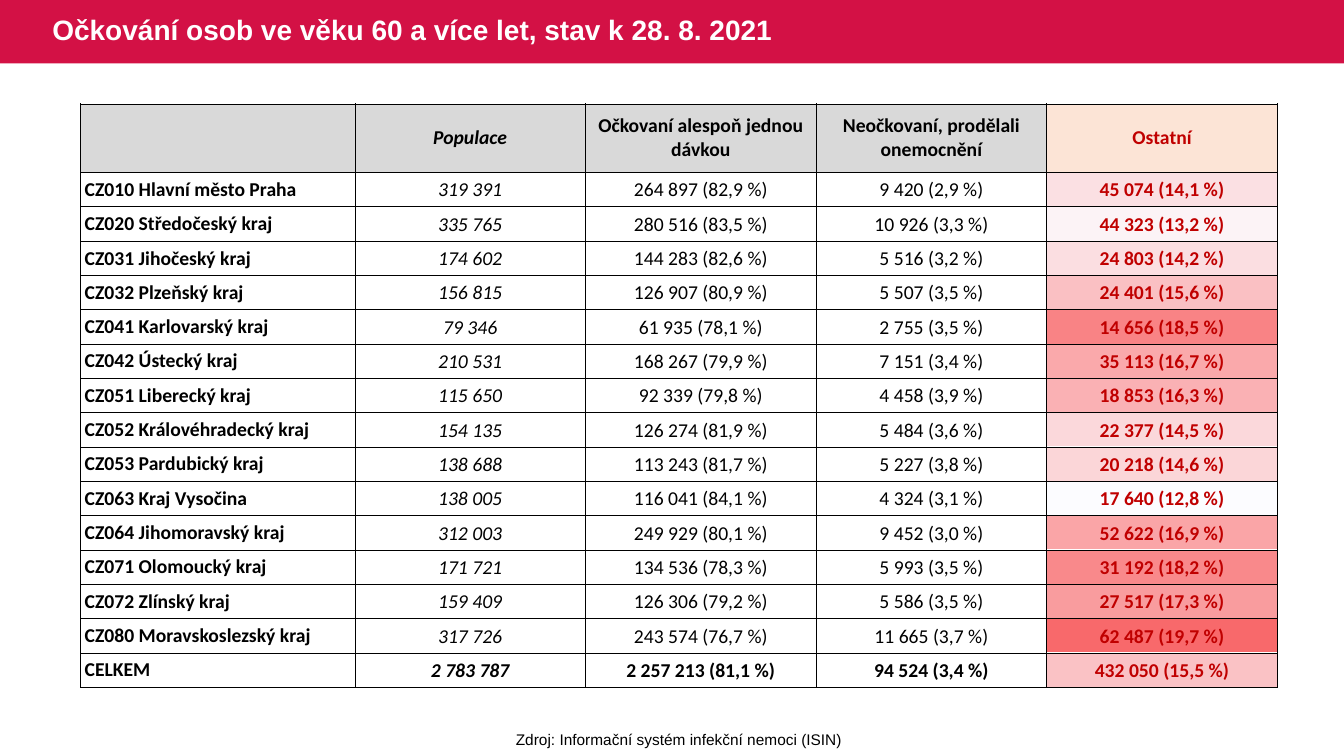
from lxml.etree import SubElement
from pptx import Presentation
from pptx.dml.color import RGBColor
from pptx.enum.shapes import MSO_SHAPE
from pptx.enum.text import MSO_ANCHOR, PP_ALIGN
from pptx.oxml.ns import qn
from pptx.util import Inches, Pt

RED = RGBColor(0xD3, 0x11, 0x45)
DARK = RGBColor(0xC0, 0x00, 0x00)
GRAY = RGBColor(0xD9, 0xD9, 0xD9)
PEACH = RGBColor(0xFC, 0xE4, 0xD6)
BLACK = RGBColor(0x00, 0x00, 0x00)
WHITE = RGBColor(0xFF, 0xFF, 0xFF)
LOW = RGBColor(0xFC, 0xFC, 0xFF)
HIGH = RGBColor(0xF8, 0x69, 0x6B)

HEADS = ["", "Populace", "Očkovaní alespoň jednou dávkou",
         "Neočkovaní, prodělali onemocnění", "Ostatní"]
REGIONS = [
    ("CZ010 Hlavní město Praha", "319 391", "264 897 (82,9 %)", "9 420 (2,9 %)", "45 074 (14,1 %)"),
    ("CZ020 Středočeský kraj", "335 765", "280 516 (83,5 %)", "10 926 (3,3 %)", "44 323 (13,2 %)"),
    ("CZ031 Jihočeský kraj", "174 602", "144 283 (82,6 %)", "5 516 (3,2 %)", "24 803 (14,2 %)"),
    ("CZ032 Plzeňský kraj", "156 815", "126 907 (80,9 %)", "5 507 (3,5 %)", "24 401 (15,6 %)"),
    ("CZ041 Karlovarský kraj", "79 346", "61 935 (78,1 %)", "2 755 (3,5 %)", "14 656 (18,5 %)"),
    ("CZ042 Ústecký kraj", "210 531", "168 267 (79,9 %)", "7 151 (3,4 %)", "35 113 (16,7 %)"),
    ("CZ051 Liberecký kraj", "115 650", "92 339 (79,8 %)", "4 458 (3,9 %)", "18 853 (16,3 %)"),
    ("CZ052 Královéhradecký kraj", "154 135", "126 274 (81,9 %)", "5 484 (3,6 %)", "22 377 (14,5 %)"),
    ("CZ053 Pardubický kraj", "138 688", "113 243 (81,7 %)", "5 227 (3,8 %)", "20 218 (14,6 %)"),
    ("CZ063 Kraj Vysočina", "138 005", "116 041 (84,1 %)", "4 324 (3,1 %)", "17 640 (12,8 %)"),
    ("CZ064 Jihomoravský kraj", "312 003", "249 929 (80,1 %)", "9 452 (3,0 %)", "52 622 (16,9 %)"),
    ("CZ071 Olomoucký kraj", "171 721", "134 536 (78,3 %)", "5 993 (3,5 %)", "31 192 (18,2 %)"),
    ("CZ072 Zlínský kraj", "159 409", "126 306 (79,2 %)", "5 586 (3,5 %)", "27 517 (17,3 %)"),
    ("CZ080 Moravskoslezský kraj", "317 726", "243 574 (76,7 %)", "11 665 (3,7 %)", "62 487 (19,7 %)"),
    ("CELKEM", "2 783 787", "2 257 213 (81,1 %)", "94 524 (3,4 %)", "432 050 (15,5 %)"),
]


def add_run(para, text, face, size, color, bold=False, italic=False):
    run = para.add_run()
    run.text = text
    font = run.font
    font.name, font.size = face, Pt(size)
    font.bold, font.italic = bold, italic
    font.color.rgb = color


def get_share(text):
    return float(text.split("(")[1].split()[0].replace(",", "."))


def get_shade(share, least, most):
    ratio = (share - least) / (most - least)
    return RGBColor(*(round(a + (b - a) * ratio) for a, b in zip(LOW, HIGH)))


def add_border(cell):
    props = cell._tc.get_or_add_tcPr()
    for side in ("a:lnL", "a:lnR", "a:lnT", "a:lnB"):
        line = SubElement(props, qn(side), w=str(Pt(0.5)))
        fill = SubElement(line, qn("a:solidFill"))
        SubElement(fill, qn("a:srgbClr"), val=str(BLACK))


def paint_cell(cell, color):
    cell.fill.solid()
    cell.fill.fore_color.rgb = color


def style_cell(cell, text, row, col):
    add_border(cell)
    if row == 0:
        paint_cell(cell, PEACH if col == 4 else GRAY)
    else:
        cell.fill.background()
    cell.vertical_anchor = MSO_ANCHOR.MIDDLE
    wide = row == 0 or col == 0
    cell.margin_left = cell.margin_right = Inches(0.04 if wide else 0.01)
    cell.margin_top = Inches(0 if wide else 0.01)
    cell.margin_bottom = 0
    para = cell.text_frame.paragraphs[0]
    para.alignment = PP_ALIGN.CENTER if row == 0 or col else PP_ALIGN.LEFT
    if text:
        bold = row in (0, len(REGIONS)) or col in (0, 4)
        add_run(para, text, "Calibri", 14, DARK if col == 4 else BLACK, bold, col == 1)


def add_table(slide, count, span, left, top, width, height):
    table = slide.shapes.add_table(count, span, left, top, width, height).table
    table.first_row = table.horz_banding = False
    return table


def add_header(slide, left, top, width, height):
    band = slide.shapes.add_shape(MSO_SHAPE.RECTANGLE, left, top, width, height)
    band.shadow.inherit = False
    band.fill.solid()
    band.fill.fore_color.rgb = RED
    band.line.fill.background()
    title = slide.shapes.add_textbox(left + Inches(0.42), top, Inches(8.28), height)
    frame = title.text_frame
    frame.word_wrap = True
    frame.vertical_anchor = MSO_ANCHOR.MIDDLE
    para = frame.paragraphs[0]
    para.line_spacing = 0.9
    add_run(para, "Očkování osob ve věku 60 a více let, stav k 28. 8. 2021",
            "Arial", 20, WHITE, bold=True)


def add_shades(slide, left, top, width, height):
    table = add_table(slide, len(REGIONS), 1, left, top, width, height)
    shares = [get_share(region[-1]) for region in REGIONS]
    for row, share in enumerate(shares):
        table.rows[row].height = height // len(REGIONS)
        cell = table.cell(row, 0)
        cell.margin_top = cell.margin_bottom = 0
        cell.text_frame.paragraphs[0].font.size = Pt(14)
        paint_cell(cell, get_shade(share, min(shares), max(shares)))


def add_regions(slide, left, top, width, height):
    rows = [HEADS, *REGIONS]
    unit = height // (len(rows) + 1)
    first = Inches(2.72)
    rest = (width - first) // 4
    add_shades(slide, left + width - rest, top + 2 * unit, rest, height - 2 * unit)
    table = add_table(slide, len(rows), len(HEADS), left, top, width, height)
    for col, column in enumerate(table.columns):
        column.width = rest if col else first
    for row, texts in enumerate(rows):
        table.rows[row].height = unit if row else 2 * unit
        for col, text in enumerate(texts):
            style_cell(table.cell(row, col), text, row, col)


def add_source(slide, left, top, width, height):
    frame = slide.shapes.add_textbox(left, top, width, height).text_frame
    frame.word_wrap = False
    para = frame.paragraphs[0]
    para.alignment = PP_ALIGN.CENTER
    add_run(para, "Zdroj: Informační systém infekční nemoci (ISIN)", "Arial", 11, BLACK)


def main():
    deck = Presentation()
    deck.slide_width, deck.slide_height = Inches(13.33), Inches(7.5)
    slide = deck.slides.add_slide(deck.slide_layouts[6])
    add_header(slide, 0, 0, deck.slide_width, Inches(0.63))
    add_regions(slide, Inches(0.8), Inches(1.03), Inches(11.87), Inches(5.79))
    add_source(slide, Inches(5.01), Inches(7.19), Inches(3.45), Inches(0.29))
    deck.save("out.pptx")


if __name__ == "__main__":
    main()
